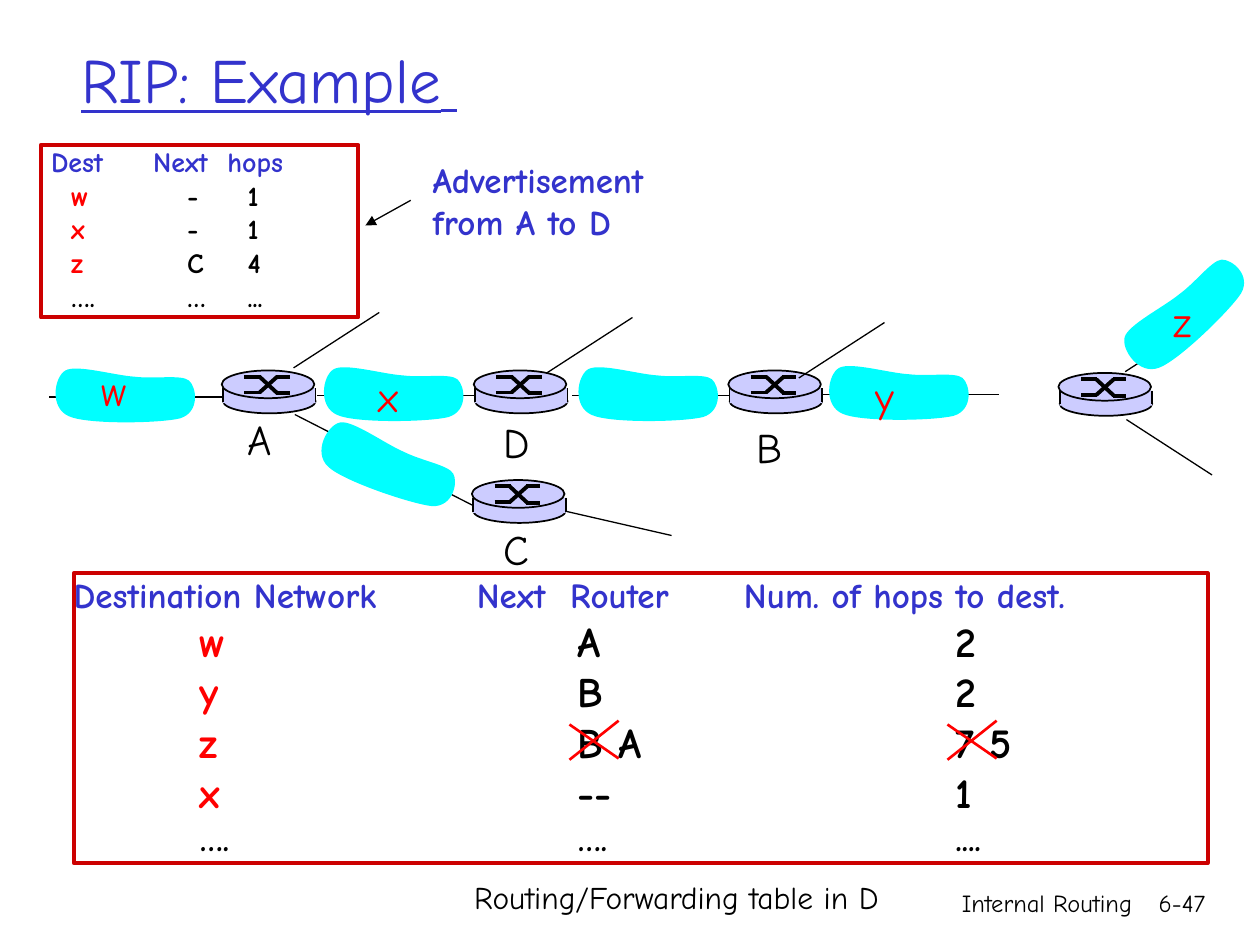
from lxml.etree import SubElement
from pptx import Presentation
from pptx.dml.color import RGBColor
from pptx.enum.shapes import MSO_CONNECTOR, MSO_SHAPE
from pptx.enum.text import MSO_ANCHOR, PP_ALIGN
from pptx.oxml.ns import qn
from pptx.util import Inches, Pt

COLORS = {"ink": "000000", "blue": "3333CC", "red": "FF0000", "frame": "CC0000",
          "cloud": "00FFFF", "router": "CCCCFF"}
COLORS = {name: RGBColor.from_string(value) for name, value in COLORS.items()}

deck = Presentation()
deck.slide_width, deck.slide_height = Inches(10), Inches(7.5)
page = deck.slides.add_slide(deck.slide_layouts[6])
shapes = page.shapes
CELL = deck.slide_width / 100  # square grid of 100 columns and 75 rows


def write(box, lines, size, color, bold=False, tabs=()):
    """Each line is a list of (text, color, size); None keeps the default."""
    frame = box.text_frame
    for number, line in enumerate(lines):
        para = frame.paragraphs[0] if number == 0 else frame.add_paragraph()
        para.alignment = PP_ALIGN.LEFT
        for text, own_color, own_size in line:
            span = para.add_run()
            span.text = text
            span.font.name = "Comic Neue"
            span.font.size = Pt(own_size or size)
            span.font.bold = bold
            span.font.color.rgb = COLORS[own_color or color]
        if tabs:
            stops = SubElement(para._p.get_or_add_pPr(), qn("a:tabLst"))
            for stop in tabs[min(number, 1)]:
                SubElement(stops, qn("a:tab"), pos=str(int(stop * CELL)), algn="l")


def draw_line(x1, y1, x2, y2, width=0.75, color="ink"):
    line = shapes.add_connector(MSO_CONNECTOR.STRAIGHT,
                                *(int(v * CELL) for v in (x1, y1, x2, y2)))
    line.line.width = Pt(width)
    line.line.color.rgb = COLORS[color]
    SubElement(line._element.spPr, qn("a:effectLst"))
    return line


# Links along the main row of routers
for left, row in [(3.9, 31.5), (25.2, 31.4), (45.4, 31.4), (65.3, 31.3)]:
    draw_line(left, row, left + 14, row, 1)

# Routers: a drum with a crossed-arrows mark on its lid
DRUM = [(MSO_SHAPE.OVAL, 0.1, 1.5, 7.35, 1.9),
        (MSO_SHAPE.RECTANGLE, 0.1, 1.4, 7.35, 1.2),
        (MSO_SHAPE.OVAL, 0, 0, 7.35, 2.2)]
MARK = [(1.8, 0.5, 3.1, 0.5), (4.3, 1.8, 5.4, 1.8), (3, 0.5, 4.4, 1.8),
        (1.8, 1.75, 3.1, 1.75), (4.3, 0.5, 5.4, 0.5), (3, 1.75, 4.4, 0.5)]
for left, top in [(17.6, 29.4), (37.6, 29.4), (57.8, 29.4), (37.45, 38.1), (84, 29.6)]:
    for kind, x, y, width, height in DRUM:
        part = shapes.add_shape(kind, *(int(v * CELL) for v in
                                        (left + x, top + y, width, height)))
        part.shadow.inherit = False
        part.fill.solid()
        part.fill.fore_color.rgb = COLORS["router"]
        if kind == MSO_SHAPE.OVAL:
            part.line.color.rgb = COLORS["ink"]
            part.line.width = Pt(1)
        else:
            part.line.fill.background()
    for x in (0.1, 7.45):
        draw_line(left + x, top + 1.4, left + x, top + 2.5, 1)
    for x1, y1, x2, y2 in MARK:
        draw_line(left + x1, top + y1, left + x2, top + y2, 2.25)

# Spokes to other networks
for x1, y1, x2, y2 in [(23.3, 29.2, 30.1, 24.8), (43.4, 29.6, 50.2, 25.2),
                       (63.4, 30, 70.2, 25.6), (89.3, 29.5, 96.1, 25.1),
                       (89.4, 33.3, 96.2, 37.7), (23.4, 32.9, 37.5, 40.1),
                       (45, 40.6, 53.3, 42.5)]:
    draw_line(x1, y1, x2, y2)

# Network clouds: a start point, then three control points for each curve
OUTLINE = [(0.8, -1.4),
           (-0.8, -1.5), (-3.8, -2.4), (-4.7, -1.9),
           (-5.6, -1.4), (-6, 1.1), (-4.4, 1.75),
           (-2.9, 2.4), (2.8, 2.3), (4.4, 1.9),
           (6, 1.4), (5.7, -0.6), (5.1, -1.1),
           (4.5, -1.6), (2.4, -1.2), (0.8, -1.4)]
for x, y, degrees in [(31.2, 31.2, 0), (30.8, 36.9, 19.7), (9.9, 31.3, 0),
                      (51.4, 31.2, 0), (71.3, 31.1, 0), (94, 24.9, -43.2)]:
    points = [(int((x + u) * CELL), int((y + v) * CELL)) for u, v in OUTLINE]
    builder = shapes.build_freeform(*points[0])
    builder.add_line_segments(points[1:], close=True)
    cloud = builder.convert_to_shape()
    # Each three straight segments become one curve
    segments = list(cloud._element.iter(qn("a:lnTo")))
    for first in range(0, len(segments), 3):
        curve = segments[first]
        curve.tag = qn("a:cubicBezTo")
        for segment in segments[first + 1:first + 3]:
            curve.append(segment[0])
            segment.getparent().remove(segment)
    cloud.rotation = degrees
    cloud.shadow.inherit = False
    cloud.fill.solid()
    cloud.fill.fore_color.rgb = COLORS["cloud"]
    cloud.line.fill.background()

# Title, captions, network and router names
LABELS = [
    (5.45, 0, 85, 12.5, ["RIP: Example"], 36, "blue"),
    (36.65, 69.2, 37, 4, ["Routing/Forwarding table in D"], 18, "ink"),
    (33.35, 12.1, 21.4, 7.7, ["Advertisement", "from A to D"], 20, "blue"),
    (59.15, 70, 31.7, 5, ["Internal Routing"], 14, "ink"),
    (89.25, 70, 7.4, 5, ["6-47"], 14, "ink"),
    (7.1, 28.4, 4.3, 5, ["w"], 24, "red"), (29.1, 28.9, 4, 5, ["x"], 24, "red"),
    (68.5, 28.9, 3.7, 5, ["y"], 24, "red"), (92.15, 23, 3.8, 5, ["z"], 24, "red"),
    (18.7, 32.3, 4.4, 5, ["A"], 24, "ink"), (39, 41.05, 4, 5, ["C"], 24, "ink"),
    (39, 32.6, 4.4, 5, ["D"], 24, "ink"), (59.05, 33, 4.1, 5, ["B"], 24, "ink"),
]
for left, top, width, height, lines, size, color in LABELS:
    box = shapes.add_textbox(*(int(v * CELL) for v in (left, top, width, height)))
    box.text_frame.word_wrap = size in (14, 36)
    write(box, [[(line, None, None)] for line in lines], size, color, bold=size == 20)
    para = box.text_frame.paragraphs[0]
    if size == 14:
        para.alignment = PP_ALIGN.RIGHT
    elif size == 36:
        box.text_frame.vertical_anchor = MSO_ANCHOR.MIDDLE
        tail = para.add_run()
        tail.text = " "
        tail.font.size = Pt(28)
        tail.font.name = "Comic Neue"
        tail.font.color.rgb = COLORS["blue"]
        for span in para.runs:
            span.font.underline = True

# Framed routing tables: heading, rows and tab stops for heading and rows
TABLES = [
    ((5.85, 45.5, 90, 23), 20, 24, "Destination Network\tNext\tRouter\tNum. of hops to dest.",
     [("w", "A", "2"), ("y", "B", "2"), ("z", "B A", "7 5"), ("x", "--", "1"),
      ("….", "….", "....")], ((32, 39.4, 53.2), (10, 40, 70))),
    ((3.25, 11.5, 25.2, 13.7), 16, 16, "\tDest\tNext\thops",
     [("w", "-", "1"), ("x", "-", "1"), ("z", "C", "4"), ("….", "…", "...")],
     ((0.8, 8.9, 14.8), (2.4, 11.6, 16.4))),
]
for area, head_size, row_size, heading, rows, tabs in TABLES:
    table = shapes.add_shape(MSO_SHAPE.RECTANGLE, *(int(v * CELL) for v in area))
    table.shadow.inherit = False
    table.fill.background()
    table.line.color.rgb = COLORS["frame"]
    table.line.width = Pt(2.25)
    frame = table.text_frame
    frame.margin_left = frame.margin_right = frame.margin_top = frame.margin_bottom = 0
    frame.vertical_anchor = MSO_ANCHOR.TOP
    lines = [[(heading, "blue", head_size)]]
    for name, router, hops in rows:
        last = name == "…."
        size = head_size if last else row_size
        lines.append([("\t" + name, "ink" if last else "red", size),
                      (f"\t{router}\t{hops}", "ink", size)])
    write(table, lines, row_size, "ink", True, tabs)

# Arrow from the caption to the advertised table
arrow = draw_line(32.6, 15.9, 29, 17.9)
SubElement(arrow.line._get_or_add_ln(), qn("a:tailEnd"), type="triangle")

# Crosses over the replaced values
for left in (45.2, 75.2):
    draw_line(left, 57.5, left + 3.9, 60.2, 1.5, "red")
    draw_line(left, 60.3, left + 3.9, 57.2, 1.5, "red")

deck.save("out.pptx")
